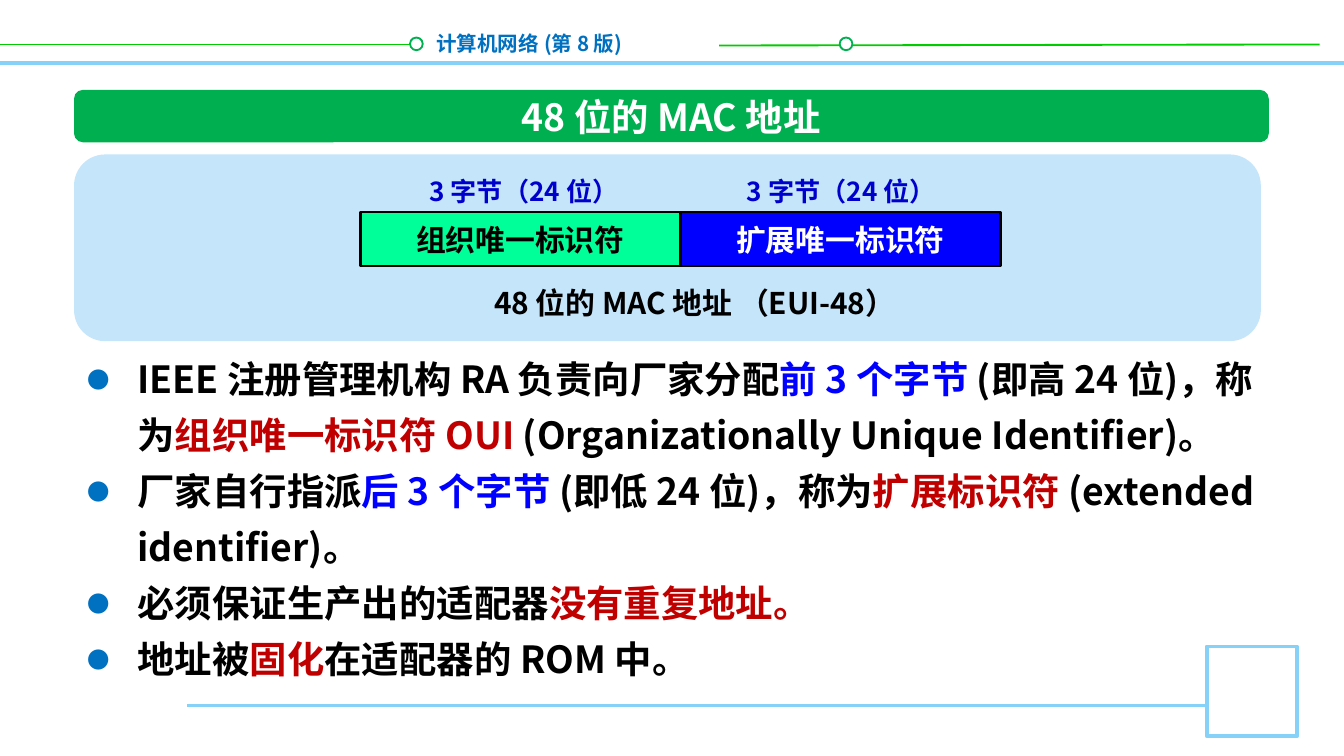
from typing import NamedTuple

from lxml import etree
from pptx import Presentation
from pptx.dml.color import RGBColor
from pptx.enum.shapes import MSO_CONNECTOR, MSO_SHAPE
from pptx.enum.text import MSO_ANCHOR, PP_ALIGN
from pptx.oxml.ns import qn
from pptx.util import Cm, Pt

STRAIGHT = MSO_CONNECTOR.STRAIGHT
OVAL, RECTANGLE, ROUNDED = MSO_SHAPE.OVAL, MSO_SHAPE.RECTANGLE, MSO_SHAPE.ROUNDED_RECTANGLE
CENTER, RIGHT = PP_ALIGN.CENTER, PP_ALIGN.RIGHT
MIDDLE = MSO_ANCHOR.MIDDLE
FONT = "Noto Sans CJK SC"
BLACK, WHITE, BLUE, RED = "000000", "FFFFFF", "0000FF", "C00000"
SKY, LIME, GREEN, ACCENT, NAVY = "85D1F7", "00CC00", "00B050", "0070C0", "0000CC"


class Box(NamedTuple):
    left: float
    top: float
    width: float
    height: float


class Rule(NamedTuple):
    start: tuple[float, float]
    end: tuple[float, float]
    color: str
    weight: float


class Field(NamedTuple):
    name: str
    fill: str
    color: str


class Span(NamedTuple):
    text: str
    color: str = BLACK


RULES = [
    Rule((0, 1.19), (25.4, 1.19), SKY, 2),
    Rule((0, 0.84), (7.87, 0.84), LIME, 1),
    Rule((13.59, 0.86), (24.94, 0.84), LIME, 1),
    Rule((3.53, 13.34), (22.81, 13.34), SKY, 1.5),
]
FIELDS = [
    Field("组织唯一标识符", "00FF99", BLACK),
    Field("扩展唯一标识符", BLUE, WHITE),
]
BULLETS = [
    [
        Span("IEEE 注册管理机构 RA 负责向厂家分配"),
        Span("前 3 个字节 ", BLUE),
        Span("(即高 24 位)，称为"),
        Span("组织唯一标识符 OUI ", RED),
        Span("(Organizationally Unique Identifier)。"),
    ],
    [
        Span("厂家自行指派"),
        Span("后 3 个字节 ", BLUE),
        Span("(即低 24 位)，称为"),
        Span("扩展标识符 ", RED),
        Span("(extended identifier)。"),
    ],
    [Span("必须保证生产出的适配器"), Span("没有重复地址。", RED)],
    [Span("地址被"), Span("固化", RED), Span("在适配器的 ROM 中。")],
]


def rgb(color: str) -> RGBColor:
    return RGBColor.from_string(color)


def set_font(paragraph, size: float, color: str) -> None:
    font = paragraph.font
    font.size, font.bold, font.name = Pt(size), True, FONT
    font.color.rgb = rgb(color)
    defaults = paragraph._p.get_or_add_pPr().find(qn("a:defRPr"))
    latin = defaults.find(qn("a:latin"))
    east_asian = etree.Element(qn("a:ea"), typeface=FONT)
    latin.addnext(east_asian)


def write_line(text_frame, text: str, size: float, color: str, alignment) -> None:
    paragraph = text_frame.paragraphs[0]
    paragraph.text = text
    paragraph.alignment = alignment
    set_font(paragraph, size, color)


def add_rule(slide, rule: Rule) -> None:
    ends = [Cm(value) for value in (*rule.start, *rule.end)]
    connector = slide.shapes.add_connector(STRAIGHT, *ends)
    connector.line.color.rgb = rgb(rule.color)
    connector.line.width = Pt(rule.weight)
    etree.SubElement(connector._element.spPr, qn("a:effectLst"))


def add_block(slide, kind, box: Box, fill: str, line: str = "", weight: float = 0):
    shape = slide.shapes.add_shape(kind, *map(Cm, box))
    shape.shadow.inherit = False
    shape.fill.solid()
    shape.fill.fore_color.rgb = rgb(fill)
    if line:
        shape.line.color.rgb = rgb(line)
        shape.line.width = Pt(weight)
    else:
        shape.line.fill.background()
    return shape


def add_label(slide, box: Box, text: str, size: float, color: str,
              alignment=CENTER, wrap: bool = False) -> None:
    text_frame = slide.shapes.add_textbox(*map(Cm, box)).text_frame
    text_frame.word_wrap = wrap
    write_line(text_frame, text, size, color, alignment)


def add_bullet_marks(paragraph) -> None:
    properties = paragraph._p.get_or_add_pPr()
    properties.set("marL", str(Cm(0.95)))
    properties.set("indent", str(-Cm(0.95)))
    color = etree.SubElement(properties, qn("a:buClr"))
    etree.SubElement(color, qn("a:srgbClr"), val=ACCENT)
    etree.SubElement(properties, qn("a:buSzPct"), val="60000")
    etree.SubElement(properties, qn("a:buFont"), typeface=FONT)
    etree.SubElement(properties, qn("a:buChar"), char="●")


def add_bullets(slide, box: Box, bullets: list[list[Span]]) -> None:
    text_frame = slide.shapes.add_textbox(*map(Cm, box)).text_frame
    text_frame.word_wrap = True
    for index, spans in enumerate(bullets):
        paragraph = text_frame.add_paragraph() if index else text_frame.paragraphs[0]
        paragraph.line_spacing = Pt(30)
        add_bullet_marks(paragraph)
        set_font(paragraph, 20, BLACK)
        for span in spans:
            run = paragraph.add_run()
            run.text = span.text
            if span.color != BLACK:
                run.font.color.rgb = rgb(span.color)


def add_field(slide, index: int, field: Field) -> None:
    box = Box(6.81 + 6.05 * index, 4.01, 6.05, 1.02)
    shape = add_block(slide, RECTANGLE, box, field.fill, BLACK, 1.5)
    shape.text_frame.vertical_anchor = MIDDLE
    write_line(shape.text_frame, field.name, 16, field.color, CENTER)
    add_label(slide, Box(7.39 + 6 * index, 3.2, 5.03, 0.86), "3 字节（24 位）", 14, NAVY)


def main() -> None:
    presentation = Presentation()
    presentation.slide_width, presentation.slide_height = Cm(25.4), Cm(14.29)
    slide = presentation.slides.add_slide(presentation.slide_layouts[6])

    for rule in RULES:
        add_rule(slide, rule)
    add_label(slide, Box(7.87, 0.46, 4.14, 0.74), "计算机网络 (第 8 版)", 11, ACCENT, RIGHT, True)
    for left in (7.75, 15.87):
        add_block(slide, OVAL, Box(left, 0.71, 0.24, 0.24), WHITE, GREEN, 1)
    add_block(slide, RECTANGLE, Box(22.81, 12.22, 1.7, 1.7), WHITE, SKY, 2)

    add_bullets(slide, Box(1.4, 6.4, 22.99, 6.68), BULLETS)
    add_block(slide, ROUNDED, Box(1.4, 1.7, 22.58, 0.99), GREEN)
    add_label(slide, Box(9.27, 1.65, 6.83, 1.12), "48 位的 MAC 地址", 20, WHITE)

    add_block(slide, ROUNDED, Box(1.4, 2.92, 22.43, 3.53), "C5E5FB")
    for index, field in enumerate(FIELDS):
        add_field(slide, index, field)
    add_label(slide, Box(8.48, 5.26, 9.3, 0.94), "48 位的 MAC 地址 （EUI-48）", 16, BLACK, wrap=True)

    presentation.save("out.pptx")


if __name__ == "__main__":
    main()
